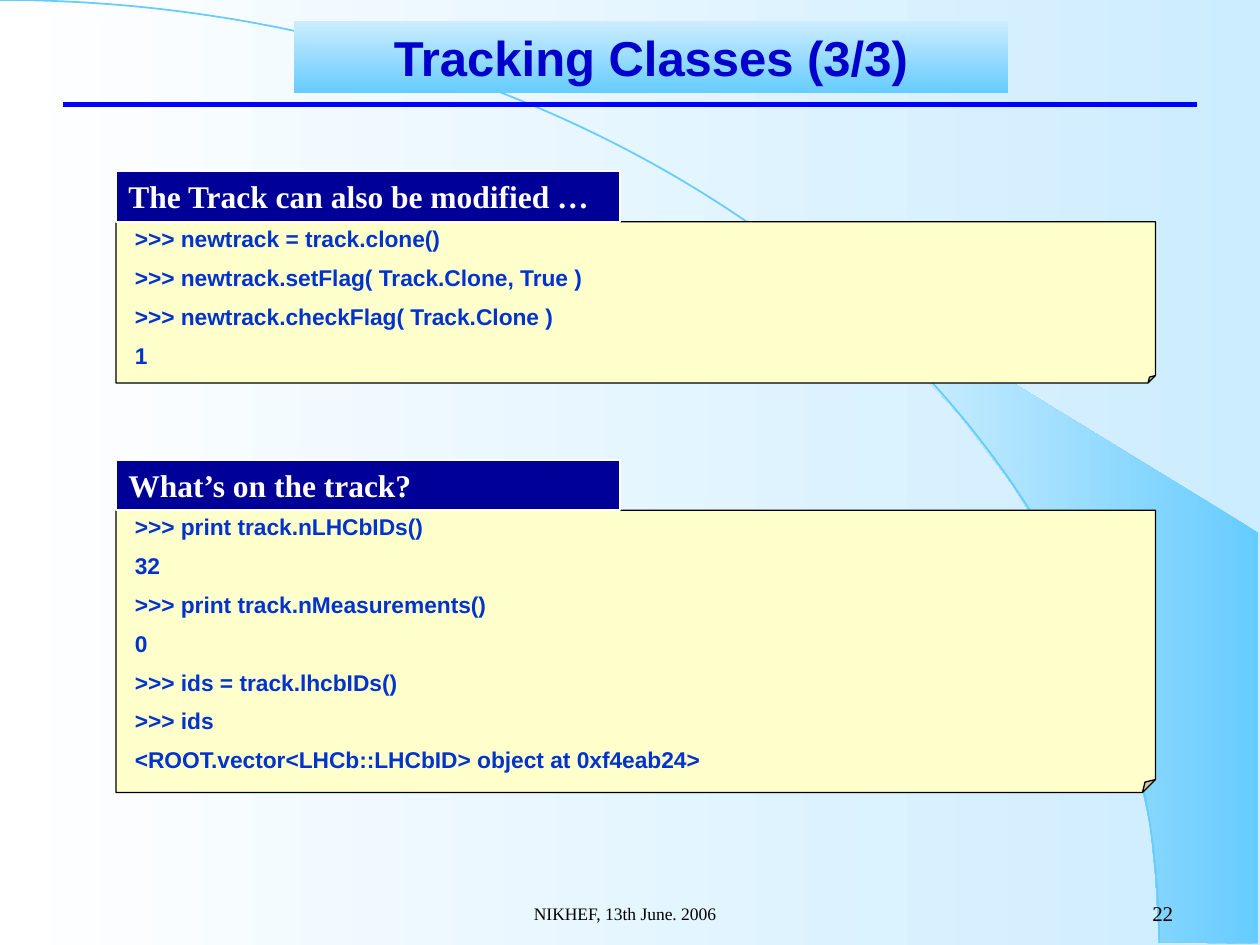
from dataclasses import dataclass

from lxml import etree
from pptx import Presentation
from pptx.dml.color import RGBColor
from pptx.enum import shapes, text
from pptx.oxml import ns
from pptx.util import Inches, Pt


@dataclass(frozen=True)
class Theme:
    sans: str = "Arial"
    serif: str = "Times New Roman"
    pale: str = "CCECFF"
    sky: str = "66CCFF"
    mist: str = "FEFEFE"
    white: str = "FFFFFF"
    black: str = "000000"
    rule: str = "0000FF"
    title: str = "0000CC"
    tag: str = "000099"
    note: str = "FFFFCC"
    code: str = "0033CC"
    title_size: int = 28
    tag_size: int = 18
    code_size: int = 13
    number_size: int = 12
    footer_size: int = 10


THEME = Theme()
BEAM = [
    (9.2, 7.48), (9.99, 7.49), (9.99, 4.23), (5.89, 1.73), (6.24, 1.99),
    (6.53, 2.22), (6.85, 2.5), (7.16, 2.8), (7.62, 3.3), (8.03, 3.84),
    (8.32, 4.31), (8.58, 4.79), (8.78, 5.28), (8.93, 5.72), (9.03, 6.09),
    (9.13, 6.56), (9.17, 6.96),
]
PANELS = [
    (
        (0.92, 1.36, 8.25, 1.68),
        "The Track can also be modified …",
        [
            ">>> newtrack = track.clone()",
            ">>> newtrack.setFlag( Track.Clone, True )",
            ">>> newtrack.checkFlag( Track.Clone )",
            "1",
        ],
    ),
    (
        (0.92, 3.65, 8.25, 2.64),
        "What’s on the track?",
        [
            ">>> print track.nLHCbIDs()",
            "32",
            ">>> print track.nMeasurements()",
            "0",
            ">>> ids = track.lhcbIDs()",
            ">>> ids",
            "<ROOT.vector<LHCb::LHCbID> object at 0xf4eab24>",
        ],
    ),
]


def color(value):
    return RGBColor.from_string(value)


def lengths(box):
    return [Inches(value) for value in box]


def paint_gradient(fill, colors, angle):
    fill.gradient()
    fill.gradient_angle = angle
    for stop, value in zip(fill.gradient_stops, colors):
        stop.color.rgb = color(value)


def set_line(line, value, width):
    line.color.rgb = color(value)
    line.width = Pt(width)


def set_fold(note, share):
    guides = note.element.spPr.find(".//" + ns.qn("a:avLst"))
    etree.SubElement(guides, ns.qn("a:gd"), name="adj",
                     fmla=f"val {round(share * 100000)}")


def add_block(page, kind, box, fill, line, width):
    block = page.shapes.add_shape(kind, *lengths(box))
    block.shadow.inherit = False
    block.fill.solid()
    block.fill.fore_color.rgb = color(fill)
    set_line(block.line, line, width)
    return block


def write(shape, lines, font, size, ink, bold=False, align=text.PP_ALIGN.LEFT,
          anchor=text.MSO_ANCHOR.TOP, gap=0, spacing=None):
    frame = shape.text_frame
    frame.word_wrap = True
    frame.auto_size = text.MSO_AUTO_SIZE.NONE
    frame.vertical_anchor = anchor
    for index, line in enumerate(lines):
        para = frame.add_paragraph() if index else frame.paragraphs[0]
        para.alignment = align
        para.space_before = Pt(gap if index else 0)
        para.line_spacing = spacing
        span = para.add_run()
        span.text = line
        span.font.name = font
        span.font.size = Pt(size)
        span.font.bold = bold
        span.font.color.rgb = color(ink)


def draw_backdrop(page, box):
    left, top, width, height = box
    paint_gradient(page.background.fill, (THEME.pale, THEME.white), 180)

    points = [lengths(point) for point in BEAM]
    builder = page.shapes.build_freeform(*points[0])
    builder.add_line_segments(points[1:], close=True)
    beam = builder.convert_to_shape()
    beam.shadow.inherit = False
    beam.line.fill.background()
    paint_gradient(beam.fill, (THEME.sky, THEME.mist), 180)

    reach = width - 0.8
    arc = page.shapes.add_shape(
        shapes.MSO_SHAPE.ARC,
        *lengths((left - reach, top, 2 * reach, 2 * height - 0.03)))
    arc.shadow.inherit = False
    arc.fill.background()
    set_line(arc.line, THEME.sky, 1)


def draw_heading(page, box, title_text):
    left, top, width, height = box
    start, end, level = lengths((left, left + width, top + height))
    rule = page.shapes.add_connector(
        shapes.MSO_CONNECTOR.STRAIGHT, start, level, end, level)
    set_line(rule.line, THEME.rule, 3)
    etree.SubElement(rule.element.spPr, ns.qn("a:effectLst"))

    title = page.shapes.title
    title.left, title.top, title.width, title.height = lengths(
        (left + 1.83, top, 5.67, 0.57))
    paint_gradient(title.fill, (THEME.pale, THEME.sky), 270)
    write(title, [title_text], THEME.sans, THEME.title_size, THEME.title,
          bold=True, align=text.PP_ALIGN.CENTER)
    title.element.getparent().append(title.element)


def draw_panel(page, box, heading, lines):
    left, top, width, height = box
    tag_height = 0.4
    note = add_block(page, shapes.MSO_SHAPE.FOLDED_CORNER,
                     (left, top + tag_height, width, height - tag_height),
                     THEME.note, THEME.black, 0.75)
    set_fold(note, 0.046)
    note.text_frame.margin_left = Inches(0.15)
    write(note, lines, THEME.sans, THEME.code_size, THEME.code, bold=True,
          anchor=text.MSO_ANCHOR.MIDDLE, gap=8.1, spacing=0.9)

    tag = add_block(page, shapes.MSO_SHAPE.RECTANGLE,
                    (left, top, 4, tag_height), THEME.tag, THEME.white, 1)
    write(tag, [heading], THEME.serif, THEME.tag_size, THEME.white, bold=True)


def draw_footer(page, box, venue, number):
    left, top, width, height = box
    number_width = 2.08
    parts = [
        (left, 4.08, venue, THEME.footer_size, text.PP_ALIGN.CENTER),
        (left + width - number_width, number_width, number,
         THEME.number_size, text.PP_ALIGN.RIGHT),
    ]
    for start, extent, words, size, align in parts:
        label = page.shapes.add_textbox(*lengths((start, top, extent, height)))
        write(label, [words], THEME.serif, size, THEME.black, align=align,
              anchor=text.MSO_ANCHOR.MIDDLE)


def main():
    deck = Presentation()
    deck.slide_width, deck.slide_height = lengths((10, 7.5))
    page = deck.slides.add_slide(deck.slide_layouts.get_by_name("Title Only"))
    draw_backdrop(page, (0, 0, 10, 7.5))
    draw_heading(page, (0.5, 0.17, 9, 0.66), "Tracking Classes (3/3)")
    for box, heading, lines in PANELS:
        draw_panel(page, box, heading, lines)
    draw_footer(page, (2.92, 7, 6.49, 0.5), "NIKHEF, 13th June. 2006", "22")
    deck.save("out.pptx")


if __name__ == "__main__":
    main()
